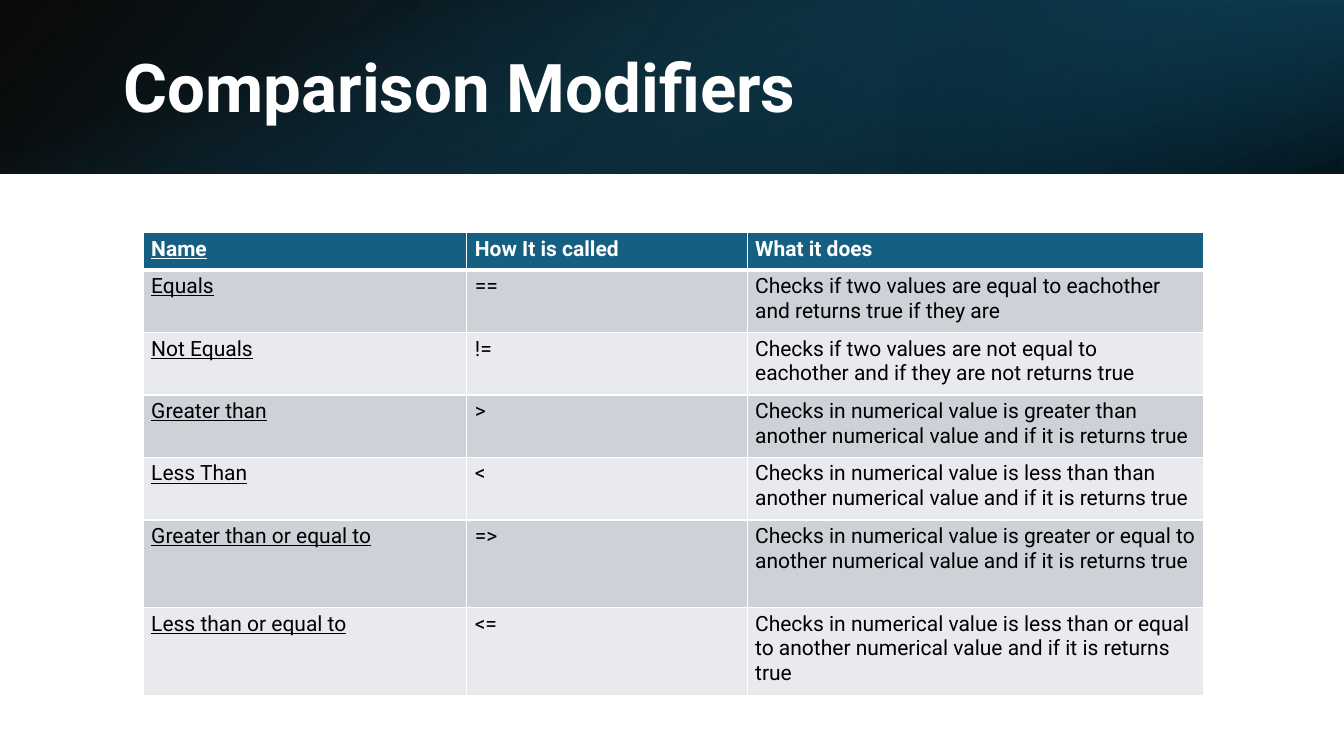
from pptx import Presentation
from pptx.dml.color import RGBColor
from pptx.enum import shapes, text
from pptx.oxml import parse_xml
from pptx.oxml.ns import nsdecls
from pptx.util import Inches, Pt

WHITE, BLACK, TEAL = "FFFFFF", "000000", "156082"
BANDS = ["CCD2D8", "E8EAED"]
COLUMN_WIDTHS = [3.21, 2.78, 4.53]
ROW_HEIGHTS = [0.37] + [0.62] * 4 + [0.87] * 2
MODIFIERS = [
    ("Name", "How It is called", "What it does"),
    ("Equals", "==", "Checks if two values are equal to eachother and returns true if they are"),
    ("Not Equals", "!=", "Checks if two values are not equal to eachother and if they are not returns true"),
    ("Greater than", ">", "Checks in numerical value is greater than another numerical value and if it is returns true"),
    ("Less Than", "<", "Checks in numerical value is less than than another numerical value and if it is returns true"),
    ("Greater than or equal to", "=>",
     "Checks in numerical value is greater or equal to another numerical value and if it is returns true"),
    ("Less than or equal to", "<=",
     "Checks in numerical value is less than or equal to another numerical value and if it is returns true"),
]


def color(value):
    return RGBColor.from_string(value)


def write(frame, content, size=15, fill=BLACK, bold=False, underline=False, font="Roboto"):
    run = frame.paragraphs[0].add_run()
    run.text = content
    run.font.name = font
    run.font.size = Pt(size)
    run.font.color.rgb = color(fill)
    run.font.bold = bold
    run.font.underline = underline


class SlideBuilder:
    def __init__(self, slide):
        self.slide = slide

    def gradient_band(self, box, stops, angle, rotation=0, flip=False):
        band = self.slide.shapes.add_shape(shapes.MSO_SHAPE.RECTANGLE, *map(Inches, box))
        band.shadow.inherit = False
        band.line.fill.background()
        band.rotation = rotation
        properties = band.element.spPr
        if flip:
            properties.xfrm.set("flipH", "1")
        stop_xml = "".join(
            f'<a:gs pos="{position * 1000}"><a:srgbClr val="{tone}">'
            f'<a:alpha val="{opacity * 1000}"/></a:srgbClr></a:gs>'
            for position, tone, opacity in stops)
        properties.insert(2, parse_xml(
            f'<a:gradFill {nsdecls("a")} rotWithShape="1"><a:gsLst>{stop_xml}</a:gsLst>'
            f'<a:lin ang="{angle * 60000}" scaled="0"/></a:gradFill>'))

    def title(self, box, content):
        frame = self.slide.shapes.add_textbox(*map(Inches, box)).text_frame
        frame.word_wrap = True
        frame.auto_size = text.MSO_AUTO_SIZE.SHAPE_TO_FIT_TEXT
        frame.vertical_anchor = text.MSO_ANCHOR.MIDDLE
        write(frame, content, size=48, fill=WHITE, bold=True)

    def borders(self, cell, widths):
        properties = cell._tc.get_or_add_tcPr()
        for index, (side, width) in enumerate(widths.items()):
            properties.insert(index, parse_xml(
                f'<a:ln{side} {nsdecls("a")} w="{Pt(width)}"><a:solidFill>'
                f'<a:srgbClr val="{WHITE}"/></a:solidFill></a:ln{side}>'))

    def table(self, left, top, rows):
        grid = self.slide.shapes.add_table(
            len(rows), len(COLUMN_WIDTHS), Inches(left), Inches(top),
            Inches(sum(COLUMN_WIDTHS)), Inches(sum(ROW_HEIGHTS))).table
        for column, width in zip(grid.columns, COLUMN_WIDTHS):
            column.width = Inches(width)
        for row, height in zip(grid.rows, ROW_HEIGHTS):
            row.height = Inches(height)
        for r, row in enumerate(rows):
            header = r == 0
            for c, content in enumerate(row):
                cell = grid.cell(r, c)
                cell.margin_left = cell.margin_right = Inches(0.08)
                cell.margin_top = cell.margin_bottom = Inches(0.04)
                cell.fill.solid()
                cell.fill.fore_color.rgb = color(TEAL if header else BANDS[(r - 1) % 2])
                self.borders(cell, {"L": 1, "R": 1, "T": 3 if r == 1 else 1, "B": 3 if header else 1})
                write(cell.text_frame, content, fill=WHITE if header else BLACK,
                      bold=header, underline=c == 0)


def main():
    deck = Presentation()
    deck.slide_width, deck.slide_height = Inches(13.33), Inches(7.5)
    builder = SlideBuilder(deck.slides.add_slide(deck.slide_layouts[6]))
    builder.gradient_band((0, 0, 13.33, 1.72), [(0, BLACK, 96), (100, "104862", 100)], 140, flip=True)
    builder.gradient_band((8.89, 0, 4.44, 1.72), [(19, "0B3041", 68), (100, TEAL, 79)], 320,
                          rotation=180, flip=True)
    builder.gradient_band((5.8, -5.8, 1.72, 13.33), [(23, TEAL, 0), (99, BLACK, 74)], 340, rotation=90)
    builder.table(1.42, 2.31, MODIFIERS)
    builder.title((1.13, 0.39, 11.44, 0.91), "Comparison Modifiers")
    deck.save("out.pptx")


if __name__ == "__main__":
    main()
